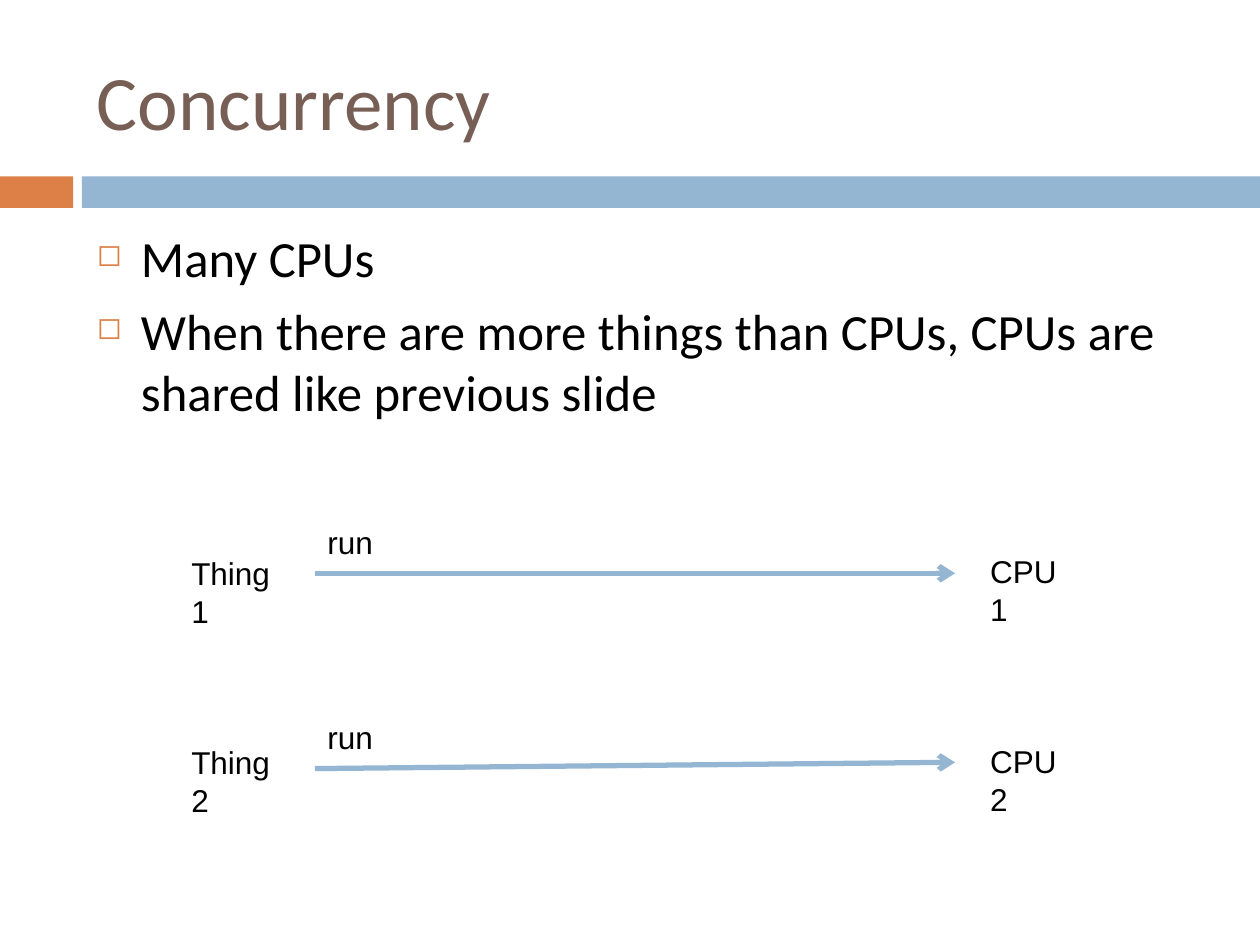
from lxml.etree import SubElement
from pptx import Presentation
from pptx.dml.color import RGBColor
from pptx.enum.shapes import MSO_CONNECTOR, MSO_SHAPE
from pptx.enum.text import MSO_ANCHOR, MSO_AUTO_SIZE
from pptx.oxml.ns import qn
from pptx.util import Inches, Pt

ORANGE, BLUE, BROWN, BLACK = "DD8047", "94B6D2", "775F55", "000000"


def color(value):
    """Turn a hex string into a colour."""
    return RGBColor.from_string(value)


def add_text(slide, box, lines, size, font, fill, wrap=True):
    """Place one paragraph per line in a text box and return its frame."""
    frame = slide.shapes.add_textbox(*map(Inches, box)).text_frame
    frame.word_wrap = wrap
    frame.text = "\n".join(lines)
    for para in frame.paragraphs:
        for span in para.runs:
            span.font.size = Pt(size)
            span.font.name = font
            span.font.color.rgb = color(fill)
    return frame


def add_band(slide, box, fill):
    """Place a plain filled rectangle."""
    band = slide.shapes.add_shape(MSO_SHAPE.RECTANGLE, *map(Inches, box))
    band.shadow.inherit = False
    band.fill.solid()
    band.fill.fore_color.rgb = color(fill)
    band.line.fill.background()


def add_header(slide, box, title):
    """Place the title with the two-colour band below it."""
    left, top, width, height = box
    add_band(slide, (0, 1.4, 0.58, 0.25), ORANGE)
    add_band(slide, (0.65, 1.4, 9.35, 0.25), BLUE)
    frame = add_text(slide, (left, top, width, height), [title], 44, "Calibri", BROWN)
    frame.vertical_anchor = MSO_ANCHOR.MIDDLE


def add_bullets(slide, box, lines):
    """Place the bulleted list with hollow square markers."""
    frame = add_text(slide, box, lines, 29, "Calibri", BLACK)
    for para in frame.paragraphs:
        para.space_before = Pt(7)
        properties = para._p.get_or_add_pPr()
        properties.set("marL", str(Inches(0.35)))
        properties.set("indent", str(-Inches(0.35)))
        bullet_color = SubElement(properties, qn("a:buClr"))
        SubElement(bullet_color, qn("a:srgbClr"), val=ORANGE)
        SubElement(properties, qn("a:buSzPct"), val="60000")
        SubElement(properties, qn("a:buChar"), char="◻")


def add_label(slide, box, text):
    """Place a small label that fits its text."""
    frame = add_text(slide, box, [text], 18, "Arial", BLACK, wrap=False)
    frame.auto_size = MSO_AUTO_SIZE.SHAPE_TO_FIT_TEXT


def add_arrow(slide, start, end):
    """Draw a blue line with an open arrowhead at its end."""
    arrow = slide.shapes.add_connector(
        MSO_CONNECTOR.STRAIGHT, *map(Inches, (*start, *end)))
    arrow.line.color.rgb = color(BLUE)
    arrow.line.width = Pt(3)
    SubElement(arrow.line._get_or_add_ln(), qn("a:tailEnd"), type="arrow")
    SubElement(arrow._element.spPr, qn("a:effectLst"))


def add_assignment(slide, box, number, cpu_top, run_top, arrow_ends):
    """Place a thing, its run arrow and the CPU it runs on."""
    left, top, width, height = box
    right = left + width
    arrow_left = left + 1.08
    add_label(slide, (left, top, 1.03, height), f"Thing {number}")
    add_arrow(slide, (arrow_left, arrow_ends[0]), (right - 1.11, arrow_ends[1]))
    add_label(slide, (arrow_left, run_top, 0.56, height), "run")
    add_label(slide, (right - 0.93, cpu_top, 0.93, height), f"CPU {number}")


def main():
    """Build the concurrency slide."""
    deck = Presentation()
    deck.slide_width, deck.slide_height = Inches(10), Inches(7.5)
    slide = deck.slides.add_slide(deck.slide_layouts[6])
    add_header(slide, (0.67, 0.25, 8.92, 1.08), "Concurrency")
    add_bullets(slide, (0.67, 1.75, 8.92, 4.92), [
        "Many CPUs",
        "When there are more things than CPUs, CPUs are shared like previous slide",
    ])
    add_assignment(slide, (1.42, 4.35, 7.27, 0.4), 1, 4.33, 4.1, (4.55, 4.55))
    add_assignment(slide, (1.42, 5.85, 7.27, 0.4), 2, 5.84, 5.65, (6.1, 6.05))
    deck.save("out.pptx")


if __name__ == "__main__":
    main()
